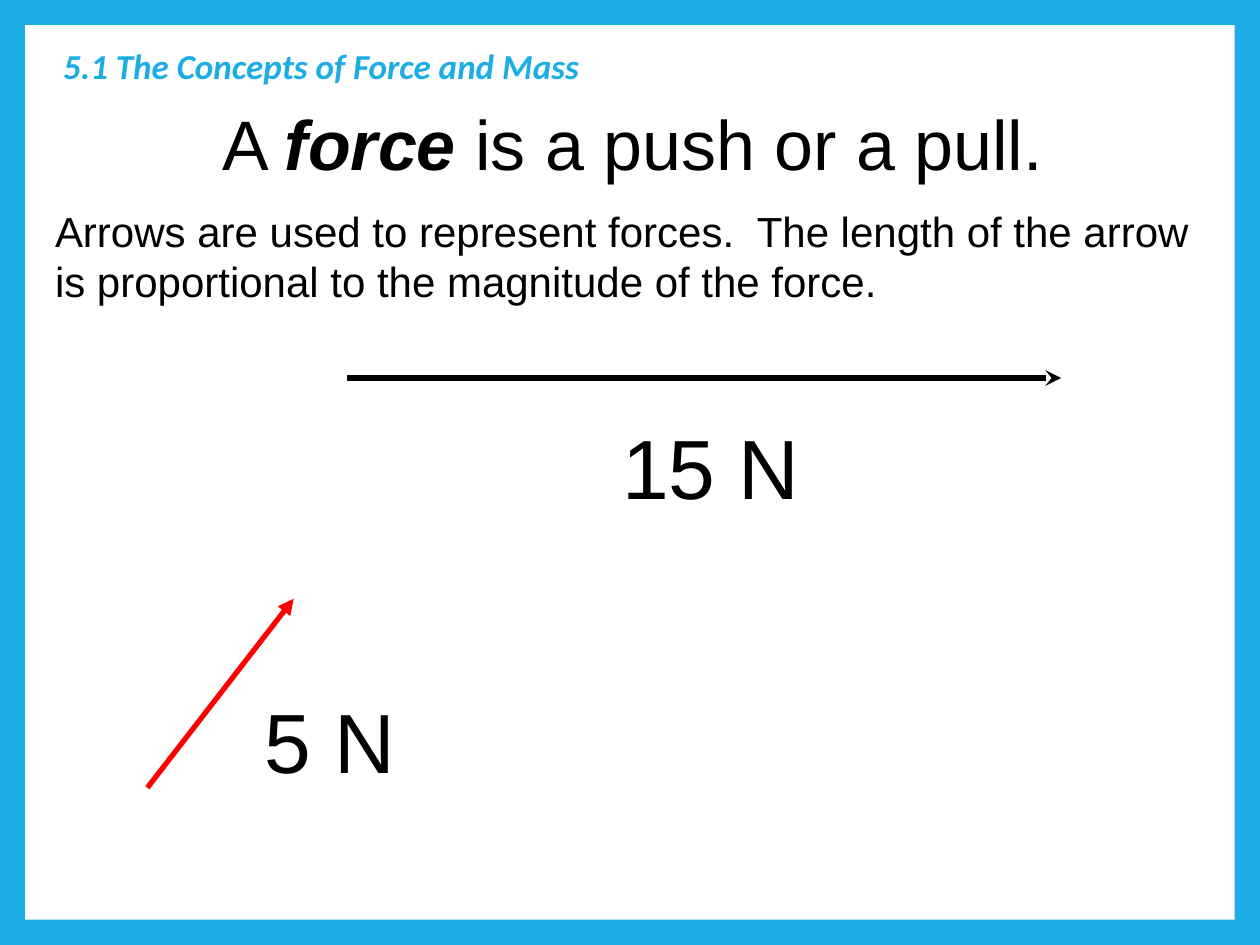
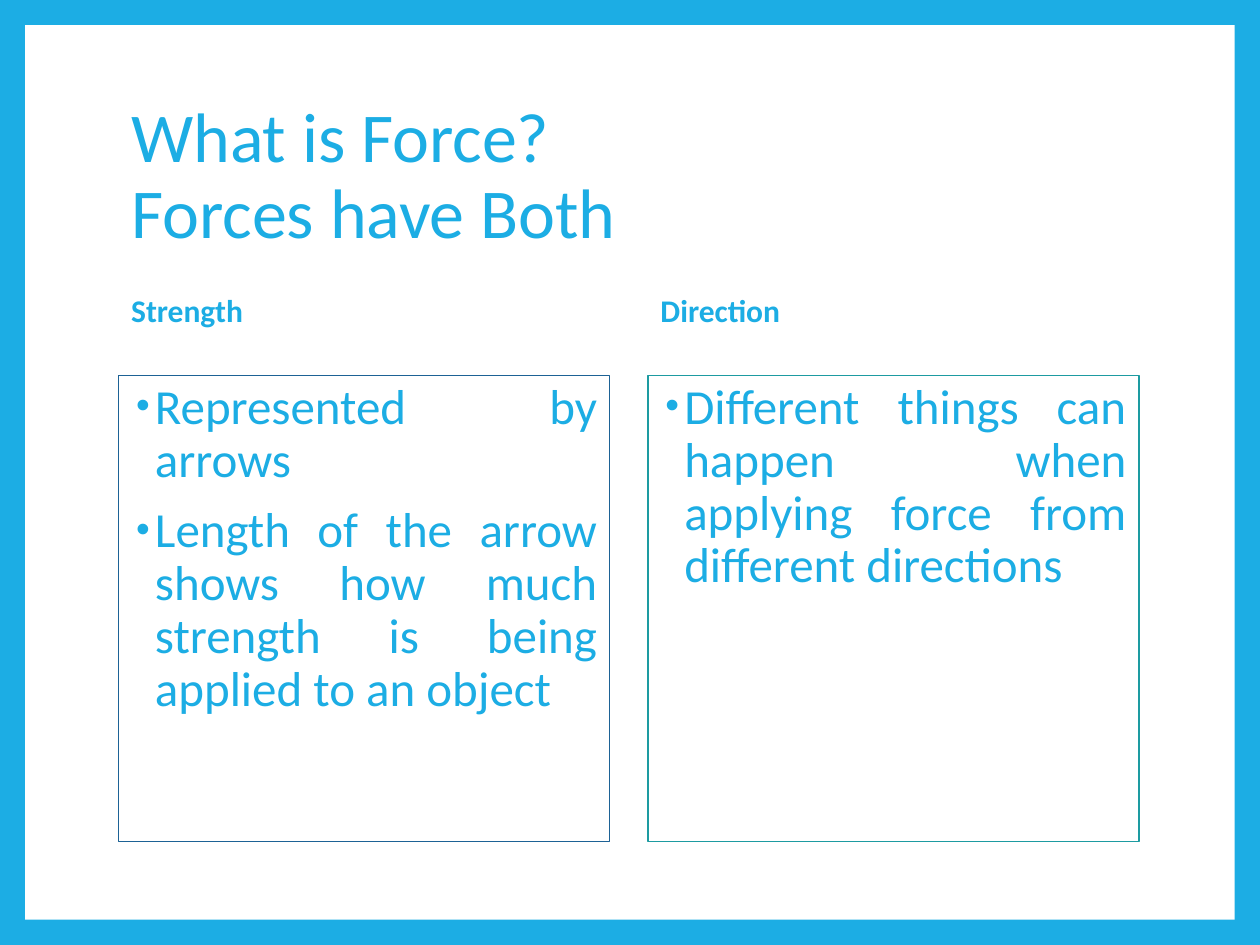
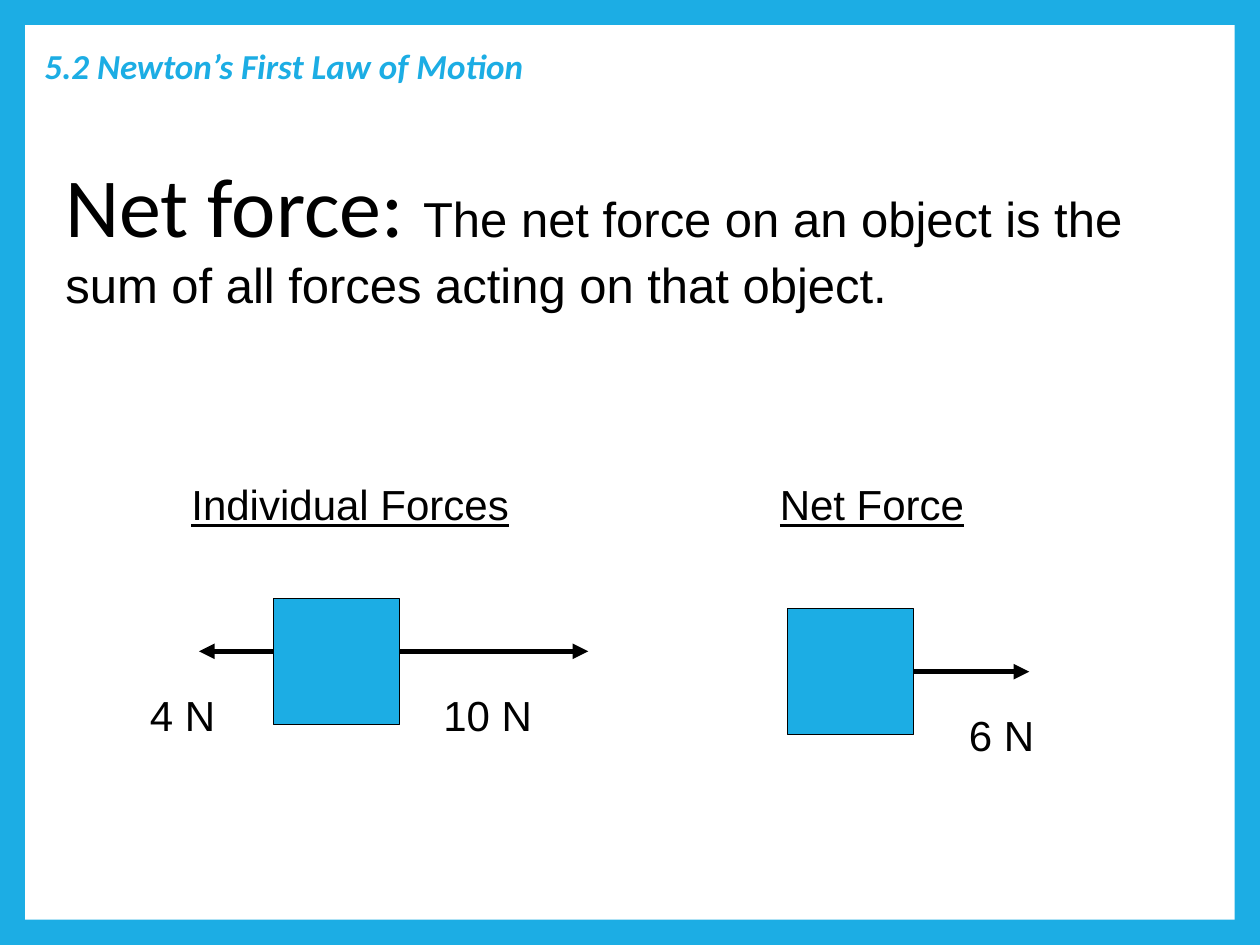
import lxml.etree
import pptx
import pptx.dml.color
import pptx.enum.shapes
import pptx.enum.text
import pptx.oxml.ns
import pptx.text.text
import pptx.util

Cm, Pt = pptx.util.Cm, pptx.util.Pt
qn = pptx.oxml.ns.qn
ALIGN = pptx.enum.text.PP_ALIGN
ANCHOR = pptx.enum.text.MSO_ANCHOR
AUTO_SIZE = pptx.enum.text.MSO_AUTO_SIZE
RECTANGLE = pptx.enum.shapes.MSO_SHAPE.RECTANGLE

COLOURS = {
    "accent": "1CADE4",
    "panel": "FFFFFF",
    "ink": "000000",
    "red": "FF0000",
    "navy": "1D6295",
    "teal": "1D9BA1",
}
SLIDE_WIDTH, SLIDE_HEIGHT, BORDER = 25.4, 19.05, 0.51
TITLE_ONLY, COMPARISON = 5, 4

# Font formats
TITLE = {"name": "Calibri", "size": Pt(40), "colour": "accent"}
SECTION = {**TITLE, "size": Pt(20), "bold": True, "italic": True}
SUBTITLE = {**TITLE, "size": Pt(18), "bold": True}
BULLET = {**TITLE, "size": Pt(28)}
STATEMENT = {"name": "Arial", "size": Pt(40), "colour": "ink"}
NOTE = {**STATEMENT, "size": Pt(24)}
MAGNITUDE = {**STATEMENT, "size": Pt(48)}

# Text frame formats
PLACEHOLDER = {"auto_size": AUTO_SIZE.NONE, "word_wrap": True}
MIDDLE = {**PLACEHOLDER, "vertical_anchor": ANCHOR.MIDDLE}
LABEL = {"word_wrap": False, "auto_size": AUTO_SIZE.SHAPE_TO_FIT_TEXT}

# Paragraph formats
TIGHT = {"alignment": ALIGN.LEFT, "line_spacing": 0.9, "space_before": Pt(0)}


def rgb(colour):
    return pptx.dml.color.RGBColor.from_string(COLOURS[colour])


def apply_format(target, formats):
    for name, value in formats.items():
        if name == "colour":
            target.color.rgb = rgb(value)
        else:
            setattr(target, name, value)


def place(shape, box):
    for name, value in zip(("left", "top", "width", "height"), box):
        setattr(shape, name, Cm(value))


def write(paragraph, runs, formats):
    """Fill a paragraph with (text, font format) runs."""
    apply_format(paragraph, formats)
    for text, font in runs:
        for number, line in enumerate(text.split("\n")):
            if number:
                paragraph.add_line_break()
            run = paragraph.add_run()
            run.text = line
            apply_format(run.font, font)


def write_lines(frame, lines, formats):
    for number, runs in enumerate(lines):
        paragraph = frame.add_paragraph() if number else frame.paragraphs[0]
        write(paragraph, runs, formats)


def add_label(slide, box, *lines, frame_format=LABEL):
    label = slide.shapes.add_textbox(*map(Cm, box))
    apply_format(label.text_frame, frame_format)
    write_lines(label.text_frame, lines, {"alignment": ALIGN.LEFT})


def add_arrow(slide, start, end, colour="ink", head="triangle"):
    arrow = slide.shapes.add_connector(
        pptx.enum.shapes.MSO_CONNECTOR.STRAIGHT, *map(Cm, (*start, *end)))
    arrow.line.color.rgb = rgb(colour)
    arrow.line.width = Pt(3)
    properties = arrow.element.spPr
    lxml.etree.SubElement(properties.get_or_add_ln(), qn("a:tailEnd"), type=head)
    lxml.etree.SubElement(properties, qn("a:effectLst"))
    return arrow


def add_rectangle(slide, box, fill, line=None):
    rectangle = slide.shapes.add_shape(RECTANGLE, *map(Cm, box))
    rectangle.shadow.inherit = False
    rectangle.fill.solid()
    rectangle.fill.fore_color.rgb = rgb(fill)
    if line:
        rectangle.line.color.rgb = rgb(line)
        rectangle.line.width = Pt(0.75)
    else:
        rectangle.line.fill.background()
    return rectangle


def style_master(presentation, slide):
    """Give the master its coloured border, white panel and title style."""
    master = presentation.slide_master
    master.background.fill.solid()
    master.background.fill.fore_color.rgb = rgb("accent")
    panel = add_rectangle(slide, (BORDER, BORDER, SLIDE_WIDTH - 2 * BORDER,
                                  SLIDE_HEIGHT - 2 * BORDER), "panel")
    panel.element.nvSpPr.cNvPr.id = 100
    master.shapes.element.insert(2, panel.element)
    style = master.element.find(".//" + qn("p:titleStyle")).find(qn("a:lvl1pPr"))
    apply_format(pptx.text.text.Font(style.find(qn("a:defRPr"))), TITLE)


def add_title(slide, box, text, font):
    title = slide.shapes.title
    place(title, box)
    apply_format(title.text_frame, MIDDLE)
    write(title.text_frame.paragraphs[0], [(text, font)], TIGHT)


def add_section_title(slide, left, text):
    add_title(slide, (left, 0.74, 13.34, 1.27), text, SECTION)


def add_bullet(paragraph):
    properties = paragraph._p.get_or_add_pPr()
    properties.set("marL", str(Cm(0.48)))
    properties.set("indent", str(Cm(-0.38)))
    colour = lxml.etree.SubElement(properties, qn("a:buClr"))
    lxml.etree.SubElement(colour, qn("a:srgbClr"), val=COLOURS["accent"])
    lxml.etree.SubElement(properties, qn("a:buSzPct"), val="80000")
    lxml.etree.SubElement(properties, qn("a:buFont"), typeface="Arial")
    lxml.etree.SubElement(properties, qn("a:buChar"), char="•")


def fill_column(heading, body, box, title, bullets, line):
    """Place a heading above an outlined bullet list."""
    left, top, width, height = box
    heading_height, body_top = 2.16, 2.01
    place(heading, (left, top, width, heading_height))
    apply_format(heading.text_frame, {**MIDDLE, "margin_bottom": Cm(0.83)})
    write(heading.text_frame.paragraphs[0], [(title, SUBTITLE)], TIGHT)

    place(body, (left, top + body_top, width, height - body_top))
    body.line.color.rgb = rgb(line)
    body.line.width = Pt(0.75)
    frame = body.text_frame
    apply_format(frame, {**PLACEHOLDER, "vertical_anchor": ANCHOR.TOP})
    for number, text in enumerate(bullets):
        paragraph = frame.add_paragraph() if number else frame.paragraphs[0]
        add_bullet(paragraph)
        write(paragraph, [(text, BULLET)],
              {**TIGHT, "alignment": ALIGN.JUSTIFY,
               "space_before": Pt(10 if number else 0)})


def add_diagram_block(slide, box, heading, heading_offset, block_offset):
    """Place an underlined heading and the block that forces act on."""
    left, top, width, height = box
    add_label(slide, (left + heading_offset, top, width, height),
              [(heading, {**NOTE, "underline": True})])
    across, down = block_offset
    return add_rectangle(slide, (left + across, top + down, 2.54, 2.54),
                         "accent", "ink")


def individual_forces(slide, left, top):
    add_diagram_block(slide, (left, top, 6.91, 1.27), "Individual Forces",
                      0.84, (2.74, 2.54))
    arrow_top, label_top = top + 3.6, top + 4.24
    for start, end, label_left, label_width, text in (
            (5.28, 9.09, 5.92, 2.29, "10 N"), (2.74, 1.24, 0, 1.83, "4 N")):
        add_arrow(slide, (left + start, arrow_top), (left + end, arrow_top))
        add_label(slide, (left + label_left, label_top, label_width, 1.27),
                  [(text, NOTE)])


def net_force(slide, left, top):
    block = add_diagram_block(slide, (left, top, 4.22, 1.27), "Net Force",
                              0, (0.41, 2.74))
    arrow_top = top + 4.01
    arrow = add_arrow(slide, (left + 2.95, arrow_top), (left + 5.28, arrow_top))
    arrow.begin_connect(block, 3)
    add_label(slide, (left + 3.81, top + 4.65, 1.83, 1.27), [("6 N", NOTE)])


def fill_force_slide(slide):
    add_section_title(slide, 1.02, "5.1 The Concepts of Force and Mass")
    add_label(slide, (4.24, 1.91, 17.12, 1.96),
              [("A ", STATEMENT),
               ("force", {**STATEMENT, "bold": True, "italic": True}),
               (" is a push or a pull.", STATEMENT)])
    add_label(slide, (0.86, 4.01, 23.37, 2.29),
              [("Arrows are used to represent forces.  The length of the arrow", NOTE)],
              [("is proportional to the magnitude of the force.", NOTE)])
    # Force arrows with their magnitudes
    add_arrow(slide, (6.99, 7.62), (21.39, 7.62), head="stealth")
    add_label(slide, (12.29, 8.26, 4.09, 2.29), [("15 N", MAGNITUDE)])
    add_arrow(slide, (2.97, 15.88), (5.92, 12.07), colour="red")
    add_label(slide, (5.08, 13.77, 3.15, 2.29), [("5 N", MAGNITUDE)])


def fill_comparison_slide(slide):
    left, pitch = 2.39, 10.67
    add_title(slide, (left, 1.7, 20.57, 3.76),
              "What is Force?\nForces have Both", TITLE)
    columns = (
        ("Strength", "navy",
         ["Represented by arrows",
          "Length of the arrow shows how much strength is being applied to an object"]),
        ("Direction", "teal",
         ["Different things can happen when applying force from different directions"]),
    )
    _, *parts = slide.placeholders
    for number, (title, line, bullets) in enumerate(columns):
        heading, body = parts[2 * number:2 * number + 2]
        fill_column(heading, body, (left + number * pitch, 5.56, 9.9, 11.41),
                    title, bullets, line)


def fill_net_force_slide(slide):
    add_section_title(slide, 0.64, "5.2 Newton’s First Law of Motion")
    add_label(slide, (1.07, 2.97, 22.86, 4.67),
              [("Net force: ", {**MAGNITUDE, "name": "Calibri"}),
               ("The net force on an object is the sum of all forces "
                "acting on that object.", {**STATEMENT, "size": Pt(28)})],
              frame_format={**LABEL, "word_wrap": True})
    individual_forces(slide, 2.77, 9.53)
    net_force(slide, 15.47, 9.53)


def main():
    presentation = pptx.Presentation()
    presentation.slide_width = Cm(SLIDE_WIDTH)
    presentation.slide_height = Cm(SLIDE_HEIGHT)
    pages = ((TITLE_ONLY, fill_force_slide),
             (COMPARISON, fill_comparison_slide),
             (TITLE_ONLY, fill_net_force_slide))
    for number, (layout, fill_slide) in enumerate(pages):
        slide = presentation.slides.add_slide(presentation.slide_layouts[layout])
        if number == 0:
            style_master(presentation, slide)
        fill_slide(slide)
    presentation.save("out.pptx")


if __name__ == "__main__":
    main()
